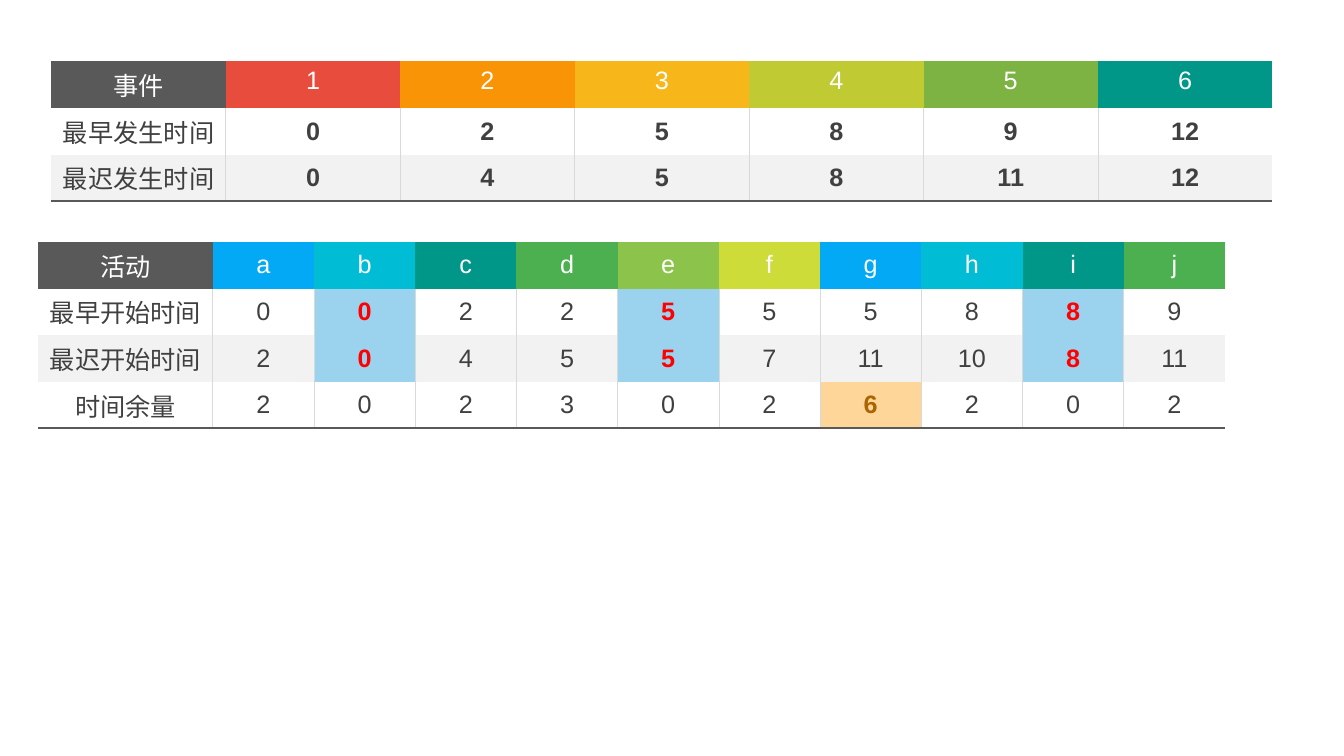
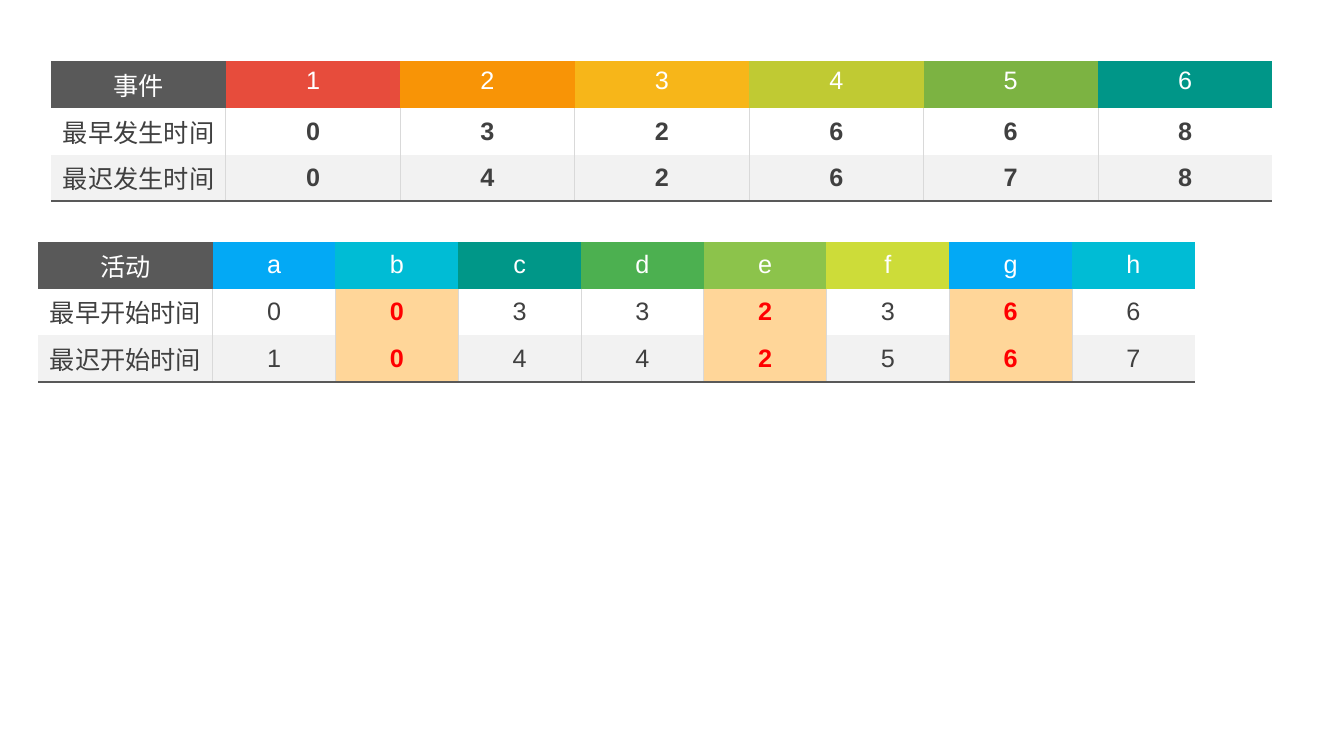
import lxml.etree
import pptx
import pptx.dml.color
import pptx.enum.text
import pptx.oxml.ns
import pptx.util

# Shared look
FONT = {"name": "Arial", "size": pptx.util.Pt(18)}
DARK, TEXT, RULE = "595959", "404040", "D9D9D9"
WHITE, BAND, RED = "FFFFFF", "F2F2F2", "FF0000"
BLUE, ORANGE, BROWN = "9BD3EF", "FFD699", "AA6500"
EVENT_COLORS = ["E74C3C", "F89406", "F7B619", "C0CA33", "7CB342", "009688"]
ACTIVITY_COLORS = ["03A9F5", "00BCD5", "009788", "4CB050", "8CC34B", "CDDC39"]
NO_STYLE = "{2D5ABB26-0587-4C30-8999-92F81FD0307C}"

# Grid, in inches
LABEL_WIDTH, ROW_HEIGHT = 1.73, 0.46
EVENT_LEFT, EVENT_TOP, EVENT_WIDTH = 0.51, 0.61, 7 * LABEL_WIDTH
ACTIVITY_LEFT, ACTIVITY_TOP = 0.38, 2.4

# Each highlight maps (row, column letter) to a fill and a font colour
slides = [
    {
        "events": {
            "最早发生时间": [0, 2, 5, 8, 9, 12],
            "最迟发生时间": [0, 4, 5, 8, 11, 12],
        },
        "activities": {
            "最早开始时间": [0, 0, 2, 2, 5, 5, 5, 8, 8, 9],
            "最迟开始时间": [2, 0, 4, 5, 5, 7, 11, 10, 8, 11],
            "时间余量": [2, 0, 2, 3, 0, 2, 6, 2, 0, 2],
        },
        "letters": "abcdefghij",
        "width": 11.77,
        "highlights": {(row, letter): (BLUE, RED) for row in (1, 2) for letter in "bei"}
        | {(3, "g"): (ORANGE, BROWN)},
    },
    {
        "events": {
            "最早发生时间": [0, 3, 2, 6, 6, 8],
            "最迟发生时间": [0, 4, 2, 6, 7, 8],
        },
        "activities": {
            "最早开始时间": [0, 0, 3, 3, 2, 3, 6, 6],
            "最迟开始时间": [1, 0, 4, 4, 2, 5, 6, 7],
        },
        "letters": "abcdefgh",
        "width": 11.47,
        "highlights": {(row, letter): (ORANGE, RED) for row in (1, 2) for letter in "beg"},
    },
]


def rgb(color):
    return pptx.dml.color.RGBColor.from_string(color)


def add_schedule(slide, place, title, heads, head_colors, rows, highlights, bold, head_anchor):
    """Add a table with a coloured head row and one labelled row per list of values."""
    left, top, width = place
    grid = [[title, *heads]] + [[label, *values] for label, values in rows.items()]
    frame = slide.shapes.add_table(
        len(grid), len(grid[0]),
        *(pptx.util.Inches(length) for length in (left, top, width, ROW_HEIGHT * len(grid))),
    )
    table = frame.table
    table.first_row = table.horz_banding = False
    table._tbl.tblPr.find(pptx.oxml.ns.qn("a:tableStyleId")).text = NO_STYLE

    value_width = (width - LABEL_WIDTH) / len(heads)
    for index, column in enumerate(table.columns):
        column.width = pptx.util.Inches(value_width if index else LABEL_WIDTH)

    for row, texts in enumerate(grid):
        for column, text in enumerate(texts):
            cell = table.cell(row, column)
            cell.text = str(text)
            is_value = row > 0 and column > 0

            # Colours: head row, highlighted values, then alternating bands
            if row == 0:
                color = WHITE
                fill = head_colors[(column - 1) % len(head_colors)] if column else DARK
            else:
                fill, color = (WHITE if row % 2 else BAND), TEXT
            highlight = highlights.get((row, grid[0][column]))
            if highlight:
                fill, color = highlight

            # Borders: dividers in the body, a rule under the last row
            borders = {}
            if row > 0:
                if column > 0:
                    borders["lnL"] = (RULE, 1 if column == 1 else 0.5)
                if column < len(heads):
                    borders["lnR"] = (RULE, 0.5 if column else 1)
                if row == len(grid) - 1:
                    borders["lnB"] = (DARK, 1.5)
            properties = cell._tc.get_or_add_tcPr()
            for side, (line_color, points) in borders.items():
                line = lxml.etree.SubElement(
                    properties, pptx.oxml.ns.qn("a:" + side), w=str(pptx.util.Pt(points)))
                solid = lxml.etree.SubElement(line, pptx.oxml.ns.qn("a:solidFill"))
                lxml.etree.SubElement(solid, pptx.oxml.ns.qn("a:srgbClr"), val=line_color)
            cell.fill.solid()
            cell.fill.fore_color.rgb = rgb(fill)

            # Text
            cell.vertical_anchor = pptx.enum.text.MSO_ANCHOR.MIDDLE if row else head_anchor
            paragraph = cell.text_frame.paragraphs[0]
            paragraph.alignment = pptx.enum.text.PP_ALIGN.CENTER
            font = paragraph.runs[0].font
            emphasis = {"bold": bool(highlight) or (bold and is_value)}
            for name, value in (FONT | emphasis).items():
                setattr(font, name, value)
            font.color.rgb = rgb(color)


presentation = pptx.Presentation()
presentation.slide_width = pptx.util.Inches(13.33)
presentation.slide_height = pptx.util.Inches(7.5)
blank_layout = presentation.slide_layouts[6]

for content in slides:
    slide = presentation.slides.add_slide(blank_layout)

    # Event times
    add_schedule(
        slide, (EVENT_LEFT, EVENT_TOP, EVENT_WIDTH), "事件", range(1, 7), EVENT_COLORS,
        content["events"], {}, True, pptx.enum.text.MSO_ANCHOR.TOP)

    # Activity times
    add_schedule(
        slide, (ACTIVITY_LEFT, ACTIVITY_TOP, content["width"]), "活动", content["letters"],
        ACTIVITY_COLORS, content["activities"], content["highlights"], False,
        pptx.enum.text.MSO_ANCHOR.MIDDLE)

presentation.save("out.pptx")
